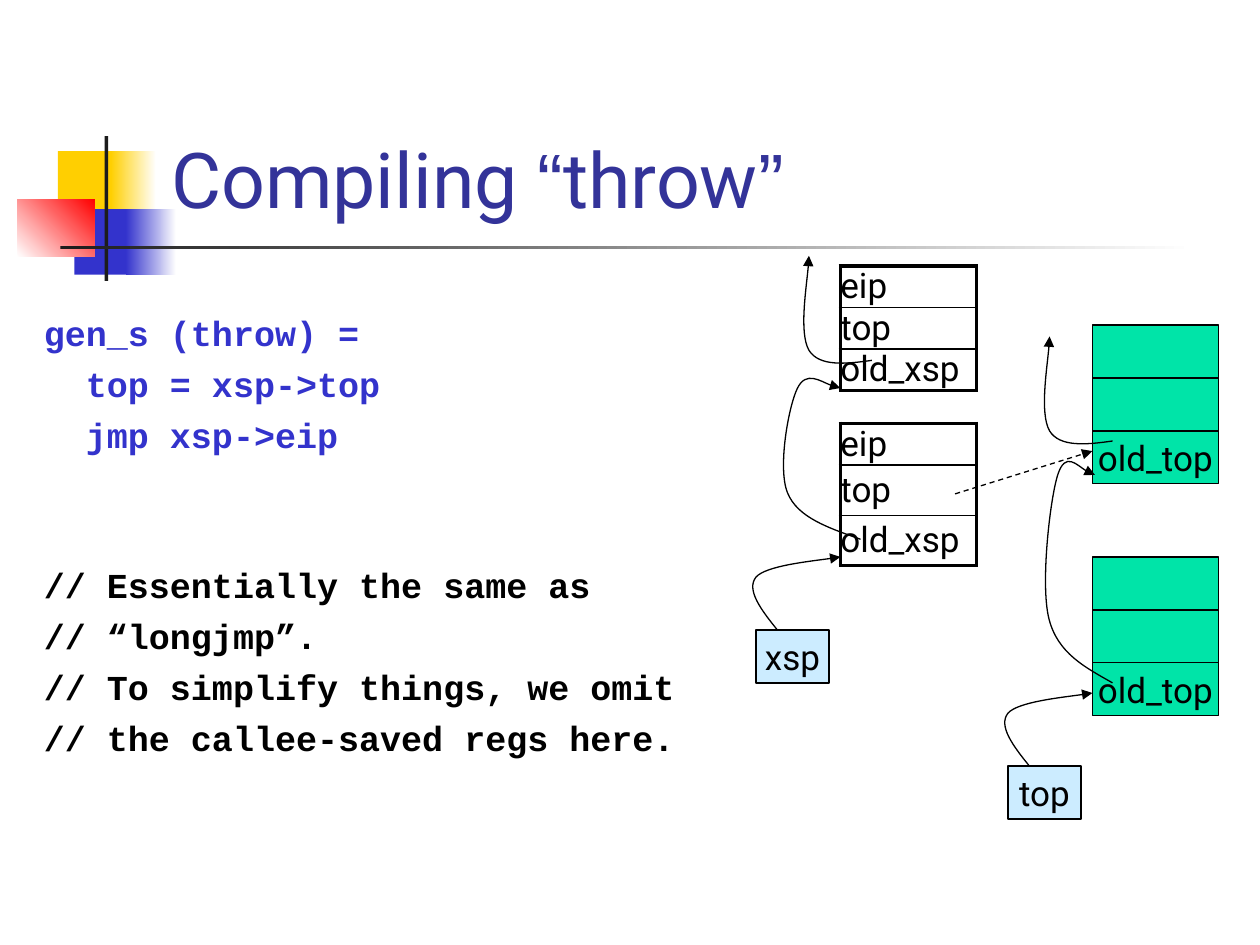
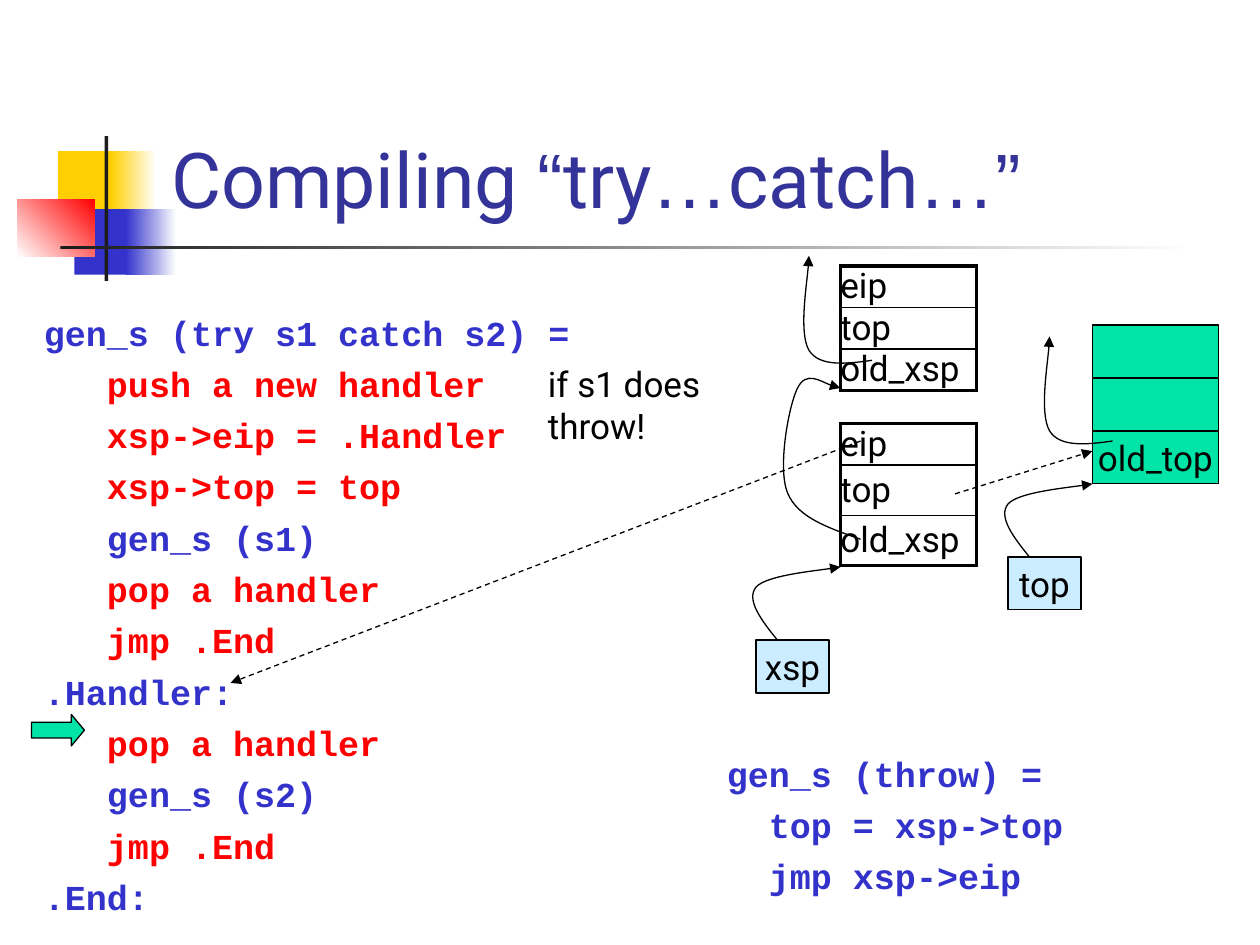
from itertools import groupby

from lxml.etree import SubElement
from pptx import Presentation
from pptx.dml.color import RGBColor
from pptx.enum.dml import MSO_LINE
from pptx.enum.shapes import MSO_CONNECTOR, MSO_SHAPE
from pptx.enum.text import MSO_ANCHOR, MSO_AUTO_SIZE, PP_ALIGN
from pptx.oxml.ns import qn
from pptx.util import Inches, Pt


class Theme:
    title_font, symbol_font, code_font = "Roboto", "Arial", "Courier New"
    title_size, text_size, code_gap = Pt(44), Pt(20), Pt(5.3)
    title = RGBColor.from_string("333399")
    blue = RGBColor.from_string("3333CC")
    red = RGBColor.from_string("FF0000")
    yellow = RGBColor.from_string("FFCF01")
    dark = RGBColor.from_string("1C1C1C")
    black = RGBColor.from_string("000000")
    white = RGBColor.from_string("FFFFFF")
    green = RGBColor.from_string("00E4A8")
    pale_blue = RGBColor.from_string("CCECFF")


def style_text(para, color=Theme.black, font=Theme.title_font, bold=False):
    for span in para.runs:
        span.font.name = font
        span.font.size = Theme.text_size
        span.font.bold = bold
        span.font.color.rgb = color


def style_line(shape, arrow=False, dashed=False):
    shape.line.color.rgb = Theme.black
    shape.line.width = Pt(0.75)
    if dashed:
        shape.line.dash_style = MSO_LINE.DASH
    properties = shape.element.spPr
    if arrow:
        SubElement(properties.find(qn("a:ln")), qn("a:tailEnd"), type="triangle")
    if properties.find(qn("a:effectLst")) is None:
        SubElement(properties, qn("a:effectLst"))


# Curve shapes, as Bezier points relative to the start
POINTER = [(-0.13, -0.16), (-0.25, -0.32), (-0.17, -0.42),
           (-0.09, -0.51), (0.39, -0.56), (0.5, -0.58)]
EXIT = [(-0.21, 0.03), (-0.42, 0.05), (-0.5, -0.08),
        (-0.58, -0.22), (-0.5, -0.71), (-0.5, -0.83)]
CHAIN = [(-0.25, -0.09), (-0.5, -0.17), (-0.58, -0.37),
         (-0.66, -0.57), (-0.57, -1.06), (-0.5, -1.2),
         (-0.43, -1.34), (-0.22, -1.2), (-0.16, -1.2)]
LONG_CHAIN = [(x * 0.87, y * 1.375) for x, y in CHAIN]

# Slide contents
BLUE, RED, BLACK = Theme.blue, Theme.red, Theme.black
THROW_CODE = [("gen_s (throw) =", BLUE), ("  top = xsp->top", BLUE), ("  jmp xsp->eip", BLUE)]
COMMENTS = [
    ("// Essentially the same as", BLACK),
    ("// “longjmp”.", BLACK),
    ("// To simplify things, we omit", BLACK),
    ("// the callee-saved regs here.", BLACK),
]
TRY_CODE = [
    ("gen_s (try s1 catch s2) =", BLUE),
    ("   push a new handler", RED),
    ("   xsp->eip = .Handler", RED),
    ("   xsp->top = top", RED),
    ("   gen_s (s1)", BLUE),
    ("   pop a handler", RED),
    ("   jmp .End", RED),
    (".Handler:", BLUE),
    ("   pop a handler", RED),
    ("   gen_s (s2)", BLUE),
    ("   jmp .End", RED),
    (".End:", BLUE),
]
TOP_LINK = (7.58, 3.92, 8.67, 3.58)
HANDLER_LINK = (6.83, 3.5, 1.83, 5.42)
SLIDES = [
    {
        "title": "Compiling “throw”",
        "code": [((0.25, 2.42, 5.33, 4.5), THROW_CODE + COMMENTS)],
        "stacks": [2.58, 4.42],
        "registers": [("xsp", 6, 5), ("top", 8, 6.08)],
        "chains": [(6.83, 4.28, CHAIN), (8.83, 5.42, LONG_CHAIN)],
        "links": [TOP_LINK],
    },
    {
        "title": "Compiling “try…catch…”",
        "code": [((0.25, 2.42, 4.58, 4.83), TRY_CODE),
                 ((5.67, 5.92, 3.75, 1.25), THROW_CODE)],
        "stacks": [2.58],
        "registers": [("xsp", 6, 5.08), ("top", 8, 4.42)],
        "chains": [(6.83, 4.28, CHAIN)],
        "links": [HANDLER_LINK, TOP_LINK],
    },
]
HANDLERS = [(2.11, [0.33, 0.33, 0.33]), (3.36, [0.33, 0.4, 0.4])]
CELL = 0.42

deck = Presentation()
deck.slide_width, deck.slide_height = Inches(10), Inches(7.5)
layout = deck.slide_layouts[5]

# Shared title place
title = layout.placeholders[0]
title.left, title.top, title.width, title.height = map(Inches, (1.26, 0.23, 8.52, 1.6))
title.text_frame.vertical_anchor = MSO_ANCHOR.BOTTOM
pages = [deck.slides.add_slide(layout) for _ in SLIDES]

# Shared coloured blocks and rules, moved to the layout
for place, start, end, angle in [
    ((0.46, 1.2, 0.48, 0.52), Theme.yellow, None, 0),
    ((0.88, 1.2, 0.36, 0.52), Theme.yellow, Theme.white, 0),
    ((0.59, 1.66, 0.46, 0.52), Theme.blue, None, 0),
    ((1, 1.66, 0.4, 0.52), Theme.blue, Theme.white, 0),
    ((0.14, 1.58, 0.61, 0.46), Theme.white, Theme.red, 45),
    ((0.83, 1.08, 0.03, 1.15), Theme.dark, None, 0),
    ((0.48, 1.95, 9, 0.03), Theme.dark, Theme.white, 0),
]:
    block = pages[0].shapes.add_shape(MSO_SHAPE.RECTANGLE, *map(Inches, place))
    block.shadow.inherit = False
    block.line.fill.background()
    if end is None:
        block.fill.solid()
        block.fill.fore_color.rgb = start
    else:
        block.fill.gradient()
        block.fill.gradient_angle = angle
        for stop, color in zip(block.fill.gradient_stops, (start, end)):
            stop.color.rgb = color
    layout.shapes.element.append(block.element)

for page, content in zip(pages, SLIDES):
    shapes = page.shapes

    # Title, with its punctuation in the symbol font
    frame = shapes.title.text_frame
    frame.auto_size = MSO_AUTO_SIZE.NONE
    para = frame.paragraphs[0]
    para.alignment = PP_ALIGN.LEFT
    for is_symbol, letters in groupby(content["title"], lambda letter: letter in "“”…"):
        span = para.add_run()
        span.text = "".join(letters)
        span.font.name = Theme.symbol_font if is_symbol else Theme.title_font
        span.font.size = Theme.title_size
        span.font.color.rgb = Theme.title

    # Handler records
    for top, heights in HANDLERS:
        table = shapes.add_table(3, 1, Inches(6.67), Inches(top), Inches(1.08),
                                 Inches(sum(heights))).table
        table.first_row = table.horz_banding = False
        for index, name in enumerate(["eip", "top", "old_xsp"]):
            table.rows[index].height = Inches(heights[index])
            cell = table.cell(index, 0)
            cell.text = name
            cell.vertical_anchor = MSO_ANCHOR.MIDDLE
            cell.margin_left = cell.margin_right = cell.margin_top = cell.margin_bottom = 0
            style_text(cell.text_frame.paragraphs[0])
            widths = {"a:lnL": 2.25, "a:lnR": 2.25,
                      "a:lnT": 2.25 if index == 0 else 1,
                      "a:lnB": 2.25 if index == 2 else 1}
            properties = cell.text_frame._txBody.getparent().get_or_add_tcPr()
            for side, width in widths.items():
                border = SubElement(properties, qn(side), w=str(Pt(width)))
                fill = SubElement(border, qn("a:solidFill"))
                SubElement(fill, qn("a:srgbClr"), val=str(Theme.black))
            cell.fill.background()

    # Stack cells and register boxes
    boxes = [("old_top" if row == 2 else "", 8.67, top + row * CELL, 1, Theme.green)
             for top in content["stacks"] for row in range(3)]
    boxes += [(name, left, top, 0.58, Theme.pale_blue)
              for name, left, top in content["registers"]]
    for name, left, top, width, color in boxes:
        box = shapes.add_shape(MSO_SHAPE.RECTANGLE, Inches(left), Inches(top),
                               Inches(width), Inches(CELL))
        box.shadow.inherit = False
        box.fill.solid()
        box.fill.fore_color.rgb = color
        style_line(box)
        if name:
            box.text_frame.text = name
            box.text_frame.word_wrap = False
            box.text_frame.vertical_anchor = MSO_ANCHOR.MIDDLE
            box.text_frame.paragraphs[0].alignment = PP_ALIGN.CENTER
            style_text(box.text_frame.paragraphs[0])

    # Curved pointers
    curves = [(left + 0.17, top, POINTER) for name, left, top in content["registers"]]
    curves += [(6.92, 2.86, EXIT), (8.83, 3.5, EXIT)] + content["chains"]
    for left, top, offsets in curves:
        builder = shapes.build_freeform(Inches(left), Inches(top))
        builder.add_line_segments(
            [(Inches(left + x), Inches(top + y)) for x, y in offsets], close=False)
        curve = builder.convert_to_shape()
        curve.shadow.inherit = False
        curve.fill.background()
        style_line(curve, arrow=True)
        # Each three line ends become one Bezier segment
        segments = list(curve.element.iter(qn("a:lnTo")))
        outline = segments[0].getparent()
        for first in range(0, len(segments), 3):
            bezier = SubElement(outline, qn("a:cubicBezTo"))
            for segment in segments[first:first + 3]:
                bezier.append(segment[0])
                outline.remove(segment)

    # Dashed links
    for link in content["links"]:
        connector = shapes.add_connector(MSO_CONNECTOR.STRAIGHT, *map(Inches, link))
        style_line(connector, arrow=True, dashed=True)

    # Code
    for place, lines in content["code"]:
        frame = shapes.add_textbox(*map(Inches, place)).text_frame
        frame.word_wrap = True
        frame.text = "\n".join(text for text, color in lines)
        for index, (para, (text, color)) in enumerate(zip(frame.paragraphs, lines)):
            if index:
                para.space_before = Theme.code_gap
            if text == COMMENTS[0][0]:
                para.space_before = Pt(61.3)
            style_text(para, color, Theme.code_font, bold=True)

# Marker and note for the thrown case
arrow = shapes.add_shape(MSO_SHAPE.RIGHT_ARROW, *map(Inches, (0.25, 5.67, 0.42, 0.25)))
arrow.adjustments[1] = 0.417
arrow.shadow.inherit = False
arrow.fill.solid()
arrow.fill.fore_color.rgb = Theme.green
style_line(arrow)
note = shapes.add_textbox(*map(Inches, (4.25, 2.83, 1.58, 0.77)))
note.text_frame.word_wrap = True
note.text_frame.text = "if s1 does throw!"
style_text(note.text_frame.paragraphs[0])

deck.save("out.pptx")
